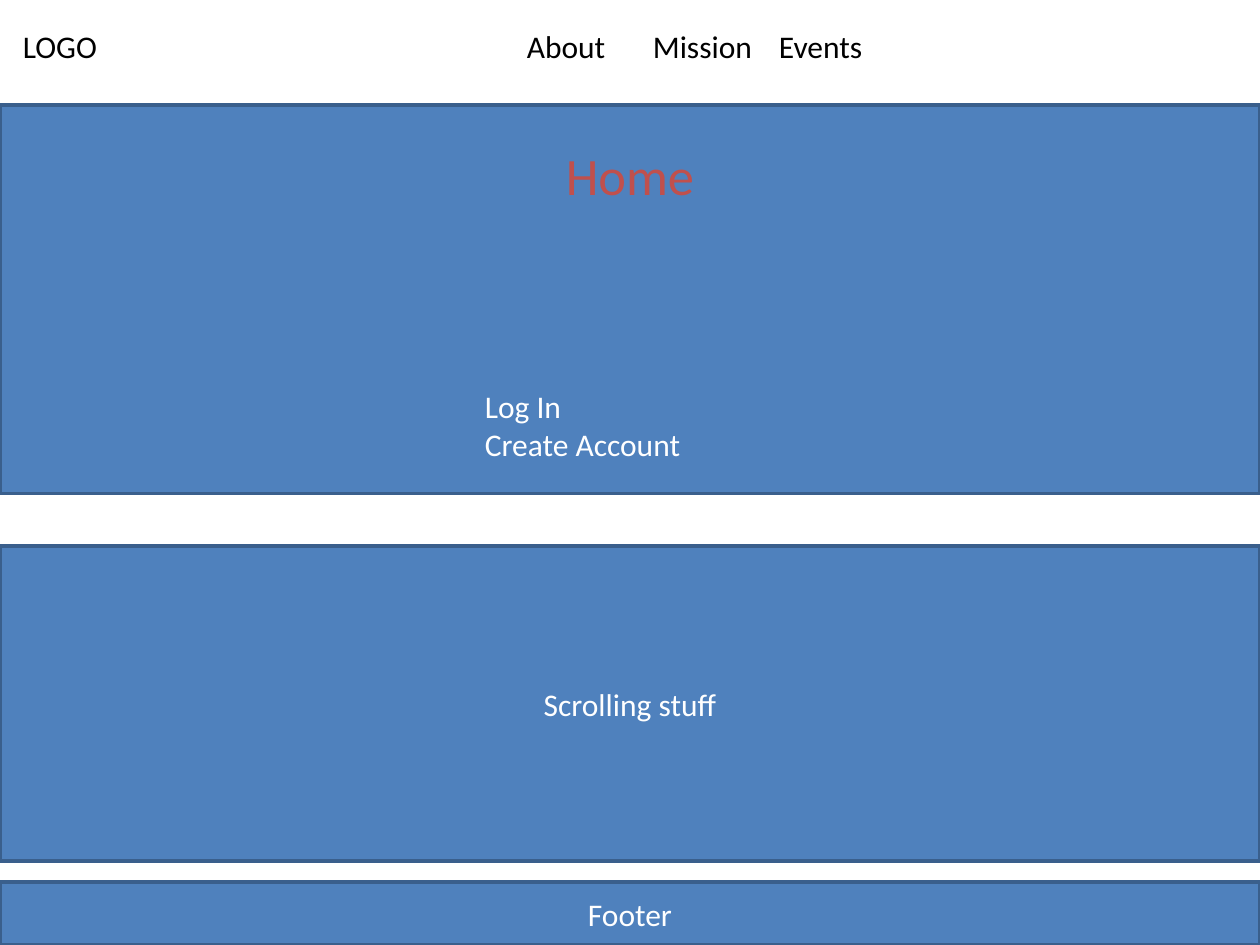
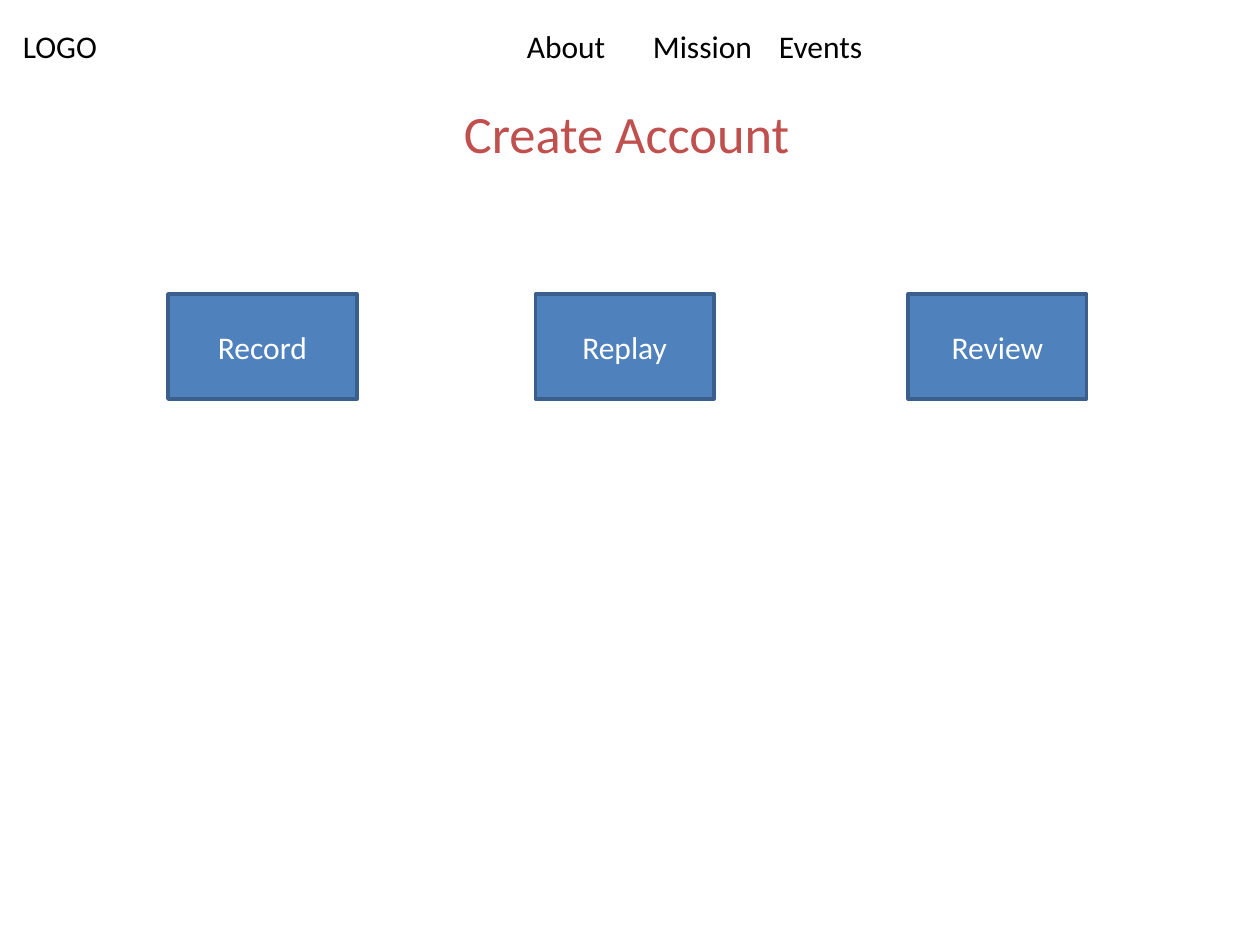
from dataclasses import dataclass

from pptx import Presentation
from pptx.dml.color import RGBColor
from pptx.enum.shapes import MSO_SHAPE
from pptx.enum.text import MSO_ANCHOR, MSO_AUTO_SIZE, PP_ALIGN
from pptx.slide import Slide
from pptx.text.text import TextFrame
from pptx.util import Inches, Pt

RECTANGLE = MSO_SHAPE.RECTANGLE
LEFT, CENTER = PP_ALIGN.LEFT, PP_ALIGN.CENTER
TOP, MIDDLE = MSO_ANCHOR.TOP, MSO_ANCHOR.MIDDLE
FIXED, GROW = MSO_AUTO_SIZE.NONE, MSO_AUTO_SIZE.SHAPE_TO_FIT_TEXT

# Shared look
FONT = "Calibri"
BLACK, WHITE = "000000", "FFFFFF"
PANEL_FILL, PANEL_LINE, TITLE_RED = "4F81BD", "3A5F8C", "C0504D"
BODY_SIZE, TITLE_SIZE = 18, 30

# The 10 x 7.5 inch slide is a grid of 120 columns and 90 rows
COLUMNS, ROWS = 120, 90
prs = Presentation()
prs.slide_width, prs.slide_height = Inches(10), Inches(7.5)
BLANK_LAYOUT = prs.slide_layouts[6]


@dataclass(frozen=True)
class Area:
    column: float
    row: float
    columns: float
    rows: float

    def box(self) -> tuple[int, int, int, int]:
        cell_width, cell_height = prs.slide_width / COLUMNS, prs.slide_height / ROWS
        return (round(self.column * cell_width), round(self.row * cell_height),
                round(self.columns * cell_width), round(self.rows * cell_height))


@dataclass(frozen=True)
class Panel:
    area: Area
    caption: str = ""


@dataclass(frozen=True)
class Label:
    lines: tuple[str, ...]
    area: Area
    color: str
    size: int = BODY_SIZE
    align: PP_ALIGN = LEFT
    wrap: bool = True


def rgb(color: str) -> RGBColor:
    return RGBColor.from_string(color)


def apply(target: object, values: dict[str, object]) -> None:
    for attribute, value in values.items():
        setattr(target, attribute, value)


def write(frame: TextFrame, lines: tuple[str, ...], color: str, size: int,
          align: PP_ALIGN, frame_format: dict[str, object]) -> None:
    apply(frame, frame_format)
    for index, line in enumerate(lines):
        paragraph = frame.add_paragraph() if index else frame.paragraphs[0]
        paragraph.alignment = align
        run = paragraph.add_run()
        run.text = line
        apply(run.font, {"name": FONT, "size": Pt(size)})
        run.font.color.rgb = rgb(color)


def draw_panel(slide: Slide, panel: Panel) -> None:
    block = slide.shapes.add_shape(RECTANGLE, *panel.area.box())
    block.shadow.inherit = False
    block.fill.solid()
    block.fill.fore_color.rgb = rgb(PANEL_FILL)
    block.line.color.rgb = rgb(PANEL_LINE)
    block.line.width = Pt(2)
    if panel.caption:
        write(block.text_frame, (panel.caption,), WHITE, BODY_SIZE, CENTER,
              {"word_wrap": True, "auto_size": FIXED, "vertical_anchor": MIDDLE})


def draw_label(slide: Slide, label: Label) -> None:
    frame = slide.shapes.add_textbox(*label.area.box()).text_frame
    write(frame, label.lines, label.color, label.size, label.align,
          {"word_wrap": label.wrap, "auto_size": GROW, "vertical_anchor": TOP})


# Navigation: seven one-inch tab stops part the logo text from the links
NAVIGATION = Label(("LOGO" + "\t" * 7 + "About\tMission\tEvents",),
                   Area(1, 2, 123.6, 4.8), BLACK, wrap=False)


def build_page(panels: list[Panel], labels: list[Label]) -> None:
    slide = prs.slides.add_slide(BLANK_LAYOUT)
    draw_label(slide, NAVIGATION)
    for panel in panels:
        draw_panel(slide, panel)
    for label in labels:
        draw_label(slide, label)


# Home page: full-width bands under the navigation
home_bands = [Panel(Area(0, row, COLUMNS, rows), caption) for row, rows, caption in (
    (10, 37, ""), (52, 30, "Scrolling stuff"), (84, 6, "Footer"))]
account_links = Label(("Log In", "Create Account"), Area(45, 36.25, 25, 8.5), WHITE)
home_title = Label(("Home",), Area(41, 13, 38, 7.3), TITLE_RED, TITLE_SIZE, CENTER)
build_page(home_bands, [account_links, home_title])

# Account page: one row of step buttons
step_buttons = [Panel(Area(column, 28, columns, 10), step) for column, columns, step in (
    (16, 18, "Record"), (51, 17, "Replay"), (86.5, 17, "Review"))]
account_title = Label(("Create Account",), Area(43, 9, 67, 7.3), TITLE_RED, TITLE_SIZE)
build_page(step_buttons, [account_title])

prs.save("out.pptx")
